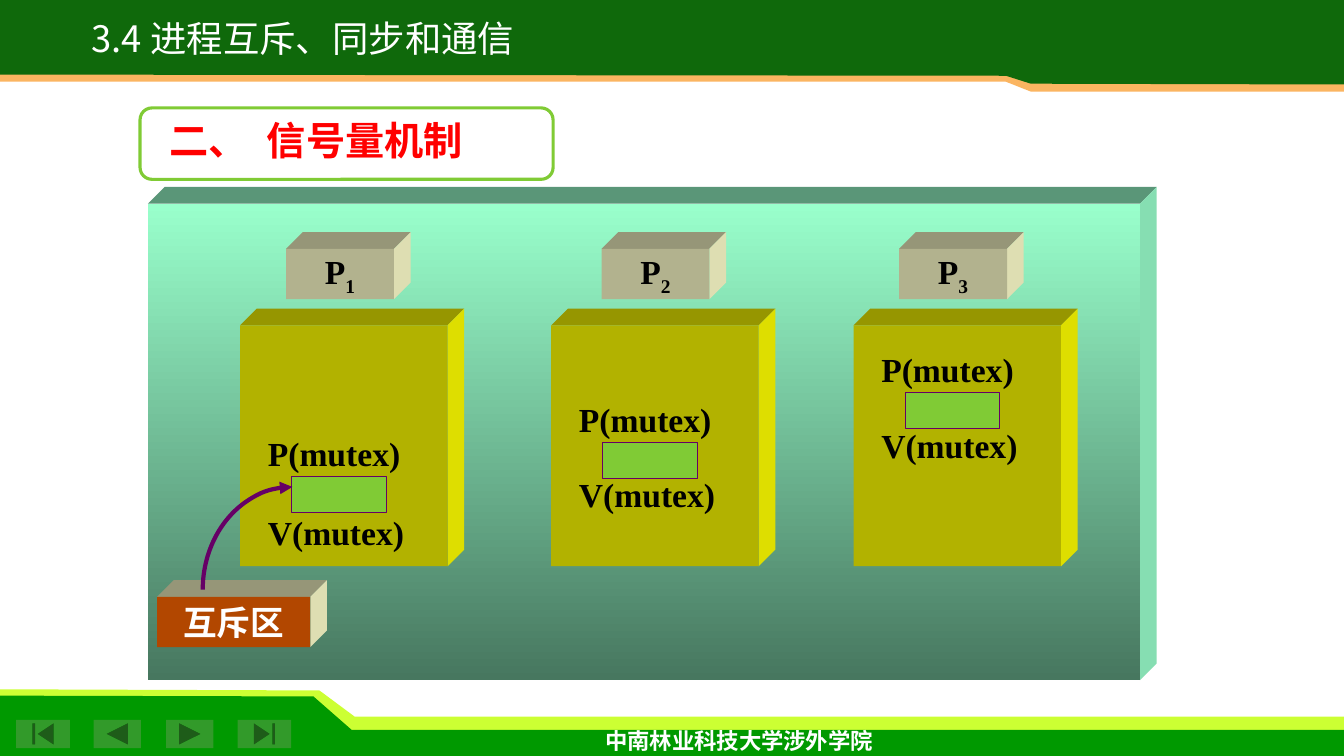
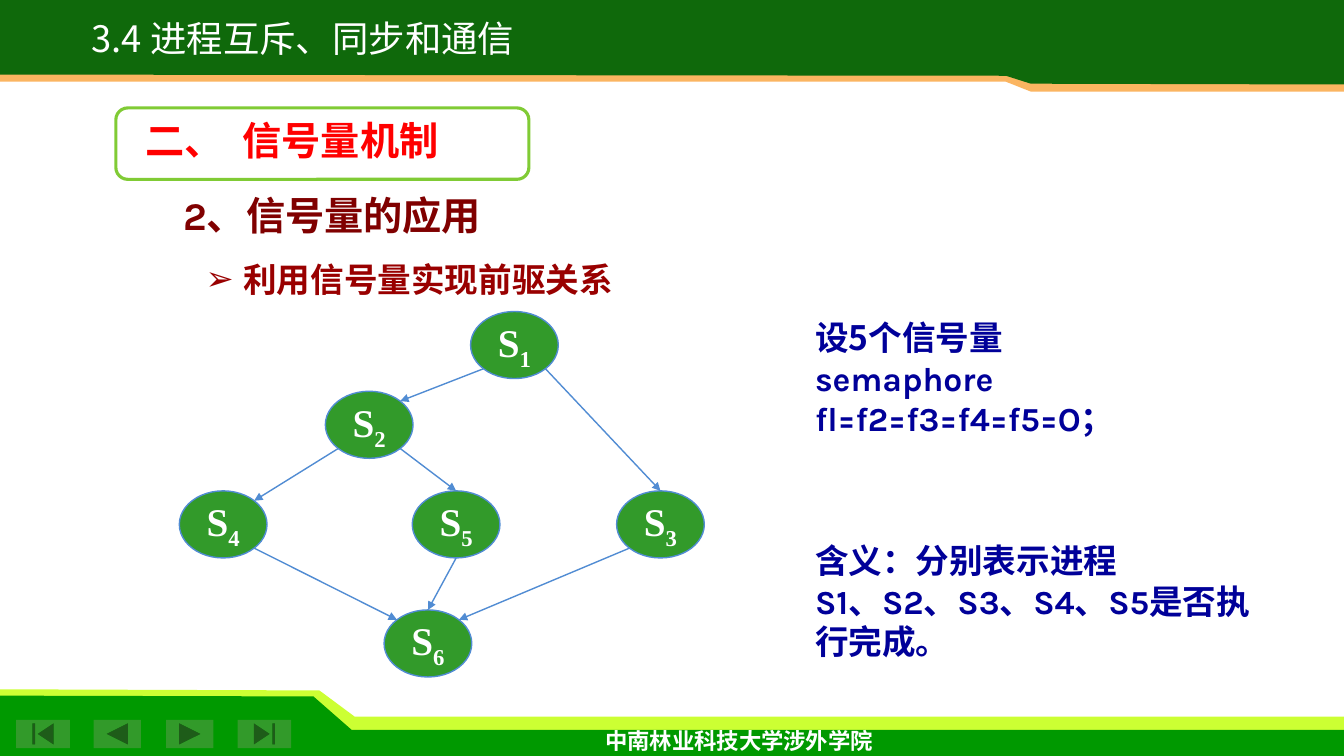
from collections import namedtuple
from math import sqrt

from lxml.etree import SubElement
from pptx import Presentation
from pptx.dml.color import RGBColor
from pptx.enum.shapes import MSO_CONNECTOR, MSO_SHAPE
from pptx.enum.text import MSO_ANCHOR, MSO_AUTO_SIZE, PP_ALIGN
from pptx.oxml.ns import qn
from pptx.util import Cm, Pt

COLORS = {
    "white": "FFFFFF", "black": "000000", "red": "FF0000", "navy": "000099",
    "maroon": "800000", "crimson": "990000", "purple": "660066",
    "header": "0F690B", "header_edge": "FBB561",
    "footer": "009900", "footer_edge": "CCFF33",
    "button": "329A2A", "leaf": "80CB35", "edge": "518CD3",
    "mint": "99FFCC", "deep_mint": "47775F",
    "mint_top": "5A9678", "mint_side": "86DEB2",
    "olive": "B2B200", "olive_top": "969600", "olive_side": "DEDE00",
    "sand": "B2B28E", "sand_top": "969678", "sand_side": "DEDEB2",
    "rust": "B24700",
}
NOTO, KARLA, TIMES = "Noto Sans CJK SC", "Karla", "Times New Roman"
WIDTH, HEIGHT = 33.87, 19.05
DEPTH = 0.42
NODE_WIDTH, NODE_HEIGHT = 2.21, 1.69

Style = namedtuple("Style", "size font color bold", defaults=(True,))
TITLE = Style(26, NOTO, "white", False)
FOOTER = Style(16, KARLA, "white")
SECTION = Style(28, TIMES, "red")
CODE = Style(24, TIMES, "black")
REGION = Style(24, TIMES, "white")
NODE = Style(28, TIMES, "white")
TOPIC = Style(28, KARLA, "maroon")
BULLET = Style(24, NOTO, "crimson")
NOTE = Style(24, KARLA, "navy")
NOTE_CJK = Style(24, NOTO, "navy")


def rgb(name):
    return RGBColor.from_string(COLORS[name])


def box(left, top, width, height):
    return Cm(left), Cm(top), Cm(width), Cm(height)


def paint(shape, fill=None, line=None, weight=0.75):
    shape.shadow.inherit = False
    if fill:
        shape.fill.solid()
        shape.fill.fore_color.rgb = rgb(fill)
    else:
        shape.fill.background()
    if line:
        shape.line.color.rgb = rgb(line)
        shape.line.width = Pt(weight)
    else:
        shape.line.fill.background()


def add_run(paragraph, text, style, subscript=False):
    run = paragraph.add_run()
    run.text = text
    run.font.size = Pt(style.size)
    run.font.bold = style.bold
    run.font.color.rgb = rgb(style.color)
    run.font.name = style.font
    properties = run._r.get_or_add_rPr()
    SubElement(properties, qn("a:ea"), typeface=NOTO)
    if subscript:
        properties.set("baseline", "-25000")


def set_margins(frame, horizontal, vertical):
    frame.margin_left = frame.margin_right = Cm(horizontal)
    frame.margin_top = frame.margin_bottom = Cm(vertical)


def add_arrowhead(shape):
    SubElement(shape.line._get_or_add_ln(), qn("a:tailEnd"), type="triangle")


def add_polygon(slide, points, fill):
    first, *others = [(Cm(x), Cm(y)) for x, y in points]
    builder = slide.shapes.build_freeform(*first, scale=1.0)
    builder.add_line_segments(others, close=True)
    shape = builder.convert_to_shape()
    paint(shape, fill)
    return shape


def add_preset(slide, kind, bounds, fill, line=None, weight=0.75):
    shape = slide.shapes.add_shape(kind, *box(*bounds))
    paint(shape, fill, line, weight)
    return shape


def add_text(slide, bounds, lines):
    """Add a text box; lines holds one (text, style) pair per paragraph."""
    shape = slide.shapes.add_textbox(*box(*bounds))
    frame = shape.text_frame
    frame.word_wrap = True
    for index, (text, style) in enumerate(lines):
        paragraph = frame.add_paragraph() if index else frame.paragraphs[0]
        add_run(paragraph, text, style)
    return shape


def add_label(shape, text, style, subscript=""):
    frame = shape.text_frame
    frame.word_wrap = True
    frame.vertical_anchor = MSO_ANCHOR.MIDDLE
    set_margins(frame, 0, 0)
    paragraph = frame.paragraphs[0]
    paragraph.alignment = PP_ALIGN.CENTER
    add_run(paragraph, text, style)
    if subscript:
        add_run(paragraph, subscript, style, subscript=True)


def add_block(slide, bounds, front, top_face, side_face):
    """Draw a block with visible top and right faces; return its front."""
    left, top, width, height = bounds
    right, bottom = left + width, top + height
    add_polygon(slide, [(left, top), (left + DEPTH, top - DEPTH),
                        (right + DEPTH, top - DEPTH), (right, top)], top_face)
    add_polygon(slide, [(right, top), (right + DEPTH, top - DEPTH),
                        (right + DEPTH, bottom - DEPTH), (right, bottom)], side_face)
    return add_preset(slide, MSO_SHAPE.RECTANGLE, bounds, front)


def add_section_heading(slide, left):
    shape = add_preset(slide, MSO_SHAPE.ROUNDED_RECTANGLE, (left, 2.72, 10.41, 1.8),
                       "white", "leaf", 2.25)
    frame = shape.text_frame
    frame.vertical_anchor = MSO_ANCHOR.TOP
    set_margins(frame, 0.66, 0.13)
    paragraph = frame.paragraphs[0]
    paragraph.alignment = PP_ALIGN.LEFT
    tabs = SubElement(paragraph._p.get_or_add_pPr(), qn("a:tabLst"))
    SubElement(tabs, qn("a:tab"), pos=str(Cm(2.45)), algn="l")
    add_run(paragraph, "二、\t信号量机制", SECTION)


def set_title(slide):
    title = slide.shapes.title
    title.left, title.top, title.width, title.height = box(1.14, 0.38, 13, 1.17)
    frame = title.text_frame
    frame.auto_size = MSO_AUTO_SIZE.NONE
    frame.word_wrap = False
    frame.vertical_anchor = MSO_ANCHOR.MIDDLE
    set_margins(frame, 0, 0)
    paragraph = frame.paragraphs[0]
    paragraph.alignment = PP_ALIGN.CENTER
    add_run(paragraph, "3.4 进程互斥、同步和通信", TITLE)


def build_master(master, slide):
    """Draw the bands, buttons and footer on a slide and move them to the master."""
    bands = [
        ("footer_edge", [(0, 17.37), (8.05, 17.4), (8.94, 18.06),
                         (WIDTH, 18.06), (WIDTH, 18.8), (0, 18.8)]),
        ("footer", [(0, 17.53), (7.9, 17.55), (8.86, 18.39),
                    (WIDTH, 18.39), (WIDTH, HEIGHT), (0, HEIGHT)]),
        ("header_edge", [(0, 0), (WIDTH, 0), (WIDTH, 2.31),
                         (25.98, 2.31), (25.35, 2.06), (0, 2.06)]),
        ("header", [(0, 0), (WIDTH, 0), (WIDTH, 2.13),
                    (25.98, 2.11), (25.35, 1.91), (0, 1.88)]),
    ]
    parts = [add_polygon(slide, points, fill) for fill, points in bands]
    buttons = [
        (MSO_SHAPE.ACTION_BUTTON_BEGINNING, 0.41, 1.35),
        (MSO_SHAPE.ACTION_BUTTON_BACK_OR_PREVIOUS, 2.36, 1.19),
        (MSO_SHAPE.ACTION_BUTTON_FORWARD_OR_NEXT, 4.19, 1.19),
        (MSO_SHAPE.ACTION_BUTTON_END, 5.99, 1.35),
    ]
    for kind, left, width in buttons:
        parts.append(add_preset(slide, kind, (left, 18.14, width, 0.71), "button"))
    footer = slide.shapes.add_textbox(*box(14.96, 18.29, 7.34, 0.76))
    add_label(footer, "中南林业科技大学涉外学院", FOOTER)
    parts.append(footer)
    for number, shape in enumerate(parts, start=100):
        shape.element.xpath(".//p:cNvPr")[0].set("id", str(number))
        master.shapes.element.append(shape.element)


def add_process(slide, number, left, label_left, region_top, exit_top):
    add_block(slide, (left, 8.2, 5.23, 6.07), "olive", "olive_top", "olive_side")
    label = add_block(slide, (label_left, 6.27, 2.72, 1.27),
                      "sand", "sand_top", "sand_side")
    add_label(label, "P", CODE, str(number))
    add_preset(slide, MSO_SHAPE.RECTANGLE, (left + 1.3, region_top, 2.39, 0.91),
               "leaf", "purple")
    for text, top in (("P(mutex)", region_top - 1.22), ("V(mutex)", exit_top)):
        add_text(slide, (left + 0.45, top, 4.2, 1.27), [(text, CODE)])


def build_mutex_slide(slide):
    set_title(slide)
    stage = add_block(slide, (3.73, 5.13, 25, 12.01), "mint", "mint_top", "mint_side")
    stage.fill.gradient()
    stage.fill.gradient_angle = 270
    for stop, color in zip(stage.fill.gradient_stops, ("mint", "deep_mint")):
        stop.color.rgb = rgb(color)
    processes = [
        (6.05, 7.21, 12.01, 12.78),
        (13.89, 15.16, 11.15, 11.81),
        (21.51, 22.66, 9.88, 10.59),
    ]
    for number, places in enumerate(processes, start=1):
        add_process(slide, number, *places)
    region = add_block(slide, (3.96, 15.04, 3.86, 1.27), "rust", "sand_top", "sand_side")
    add_label(region, "互斥区", REGION)
    arc = add_preset(slide, MSO_SHAPE.ARC, (5.11, 12.27, 4.52, 5.18), None, "purple", 3)
    arc.adjustments[0], arc.adjustments[1] = 108, 162
    add_arrowhead(arc)
    add_section_heading(slide, 3.53)


def node_point(position, direction):
    """Return the point on a node's outline in a direction such as (1, -1)."""
    x, y = direction
    reach = 1 / sqrt(x * x + y * y)
    left, top = position
    return (Cm(left + NODE_WIDTH / 2 * (1 + x * reach)),
            Cm(top + NODE_HEIGHT / 2 * (1 + y * reach)))


def add_arrow(slide, begin, end):
    arrow = slide.shapes.add_connector(MSO_CONNECTOR.STRAIGHT, *begin, *end)
    arrow.line.color.rgb = rgb("edge")
    arrow.line.width = Pt(1)
    add_arrowhead(arrow)
    SubElement(arrow.element.spPr, qn("a:effectLst"))


def add_precedence_graph(slide):
    nodes = {1: (11.86, 7.85), 2: (8.2, 9.86), 3: (15.54, 12.37),
             4: (4.52, 12.37), 5: (10.39, 12.37), 6: (9.68, 15.37)}
    up, down = (0, -1), (0, 1)
    up_left, up_right, down_left, down_right = (-1, -1), (1, -1), (-1, 1), (1, 1)
    for number, position in nodes.items():
        oval = add_preset(slide, MSO_SHAPE.OVAL, (*position, NODE_WIDTH, NODE_HEIGHT),
                          "button", "edge", 1)
        add_label(oval, "S", NODE, str(number))
    edges = [
        (1, down_left, 2, up_right), (1, down_right, 3, up),
        (2, down_left, 4, up_right), (2, down_right, 5, up),
        (4, down_right, 6, up_left), (5, down, 6, up),
        (3, down_left, 6, up_right),
    ]
    for source, leaving, target, entering in edges:
        add_arrow(slide, node_point(nodes[source], leaving),
                  node_point(nodes[target], entering))


def set_bullet(body):
    body.left, body.top, body.width, body.height = box(4.93, 6.5, 22.81, 1.22)
    body.text_frame.auto_size = MSO_AUTO_SIZE.NONE
    paragraph = body.text_frame.paragraphs[0]
    properties = paragraph._p.get_or_add_pPr()
    properties.set("marL", str(Cm(0.95)))
    properties.set("indent", str(-Cm(0.95)))
    SubElement(properties, qn("a:buChar"), char="➢")
    paragraph.line_spacing = 0.9
    paragraph.space_before = Pt(0)
    add_run(paragraph, "利用信号量实现前驱关系", BULLET)


def build_precedence_slide(slide):
    set_title(slide)
    set_bullet(slide.placeholders[1])
    add_section_heading(slide, 2.92)
    add_text(slide, (4.37, 4.7, 17.2, 1.45), [("2、信号量的应用", TOPIC)])
    add_precedence_graph(slide)
    semaphores = add_text(slide, (20.29, 7.85, 11.51, 3.33), [
        ("设5个信号量", NOTE_CJK), ("semaphore fl=f2=f3=f4=f5=O；", NOTE)])
    semaphores.text_frame.vertical_anchor = MSO_ANCHOR.MIDDLE
    add_text(slide, (20.29, 13.49, 11.81, 3.33), [
        ("含义：分别表示进程", NOTE), ("S1、S2、S3、S4、S5是否执行完成。", NOTE)])


def main():
    presentation = Presentation()
    presentation.slide_width, presentation.slide_height = Cm(WIDTH), Cm(HEIGHT)
    layouts = presentation.slide_layouts
    mutex_slide = presentation.slides.add_slide(layouts.get_by_name("Title Only"))
    build_master(presentation.slide_master, mutex_slide)
    build_mutex_slide(mutex_slide)
    build_precedence_slide(
        presentation.slides.add_slide(layouts.get_by_name("Title and Content")))
    presentation.save("out.pptx")


if __name__ == "__main__":
    main()
